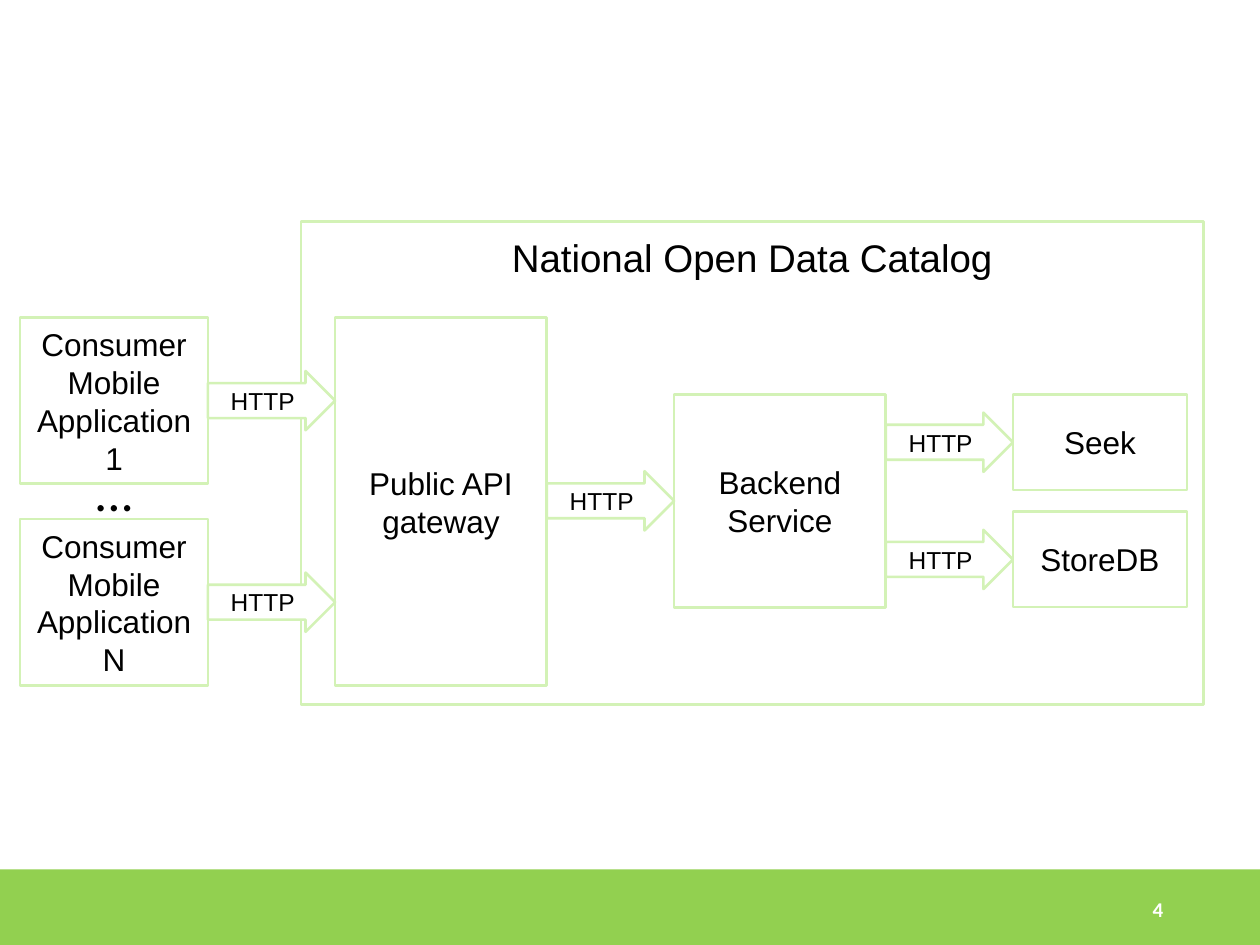
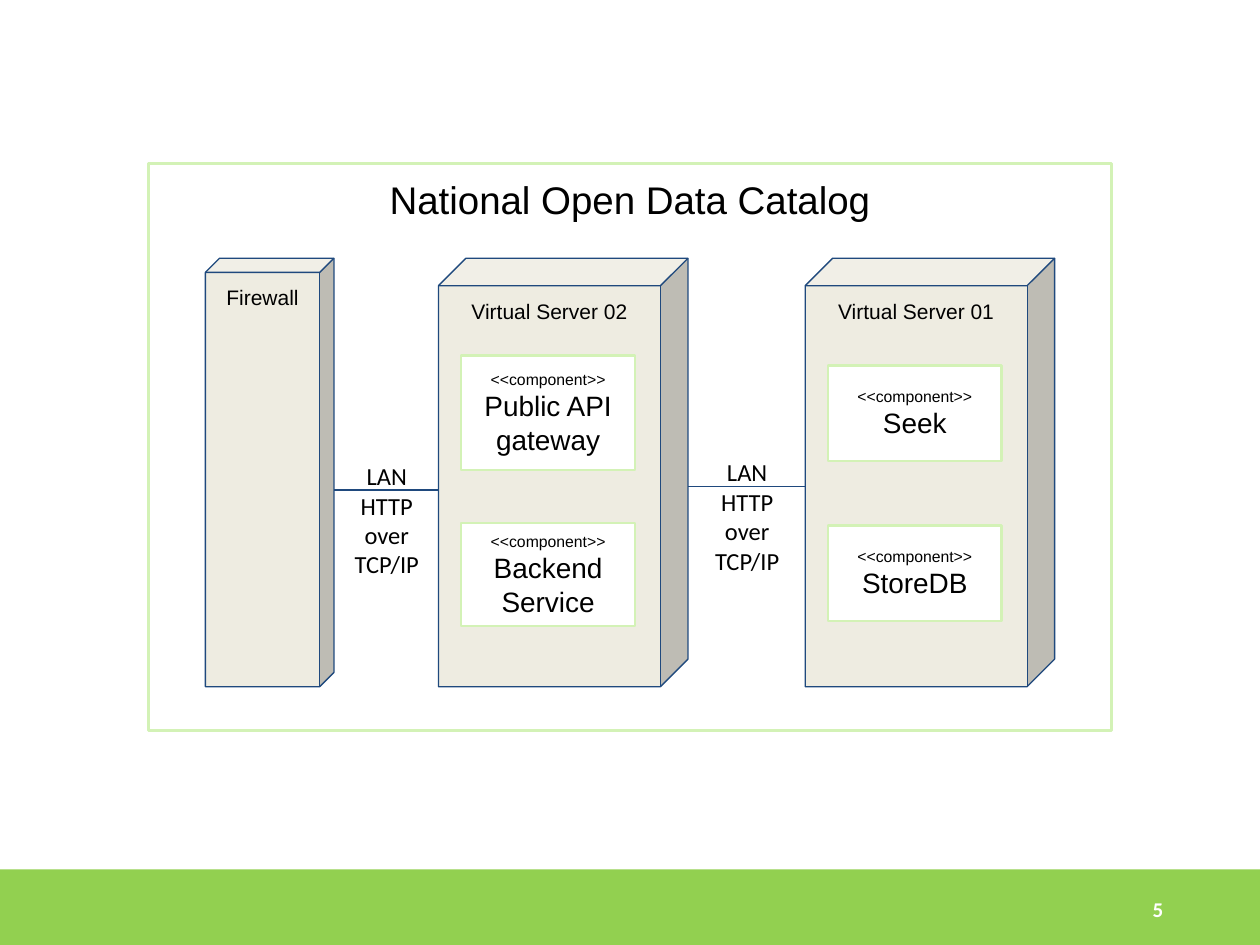
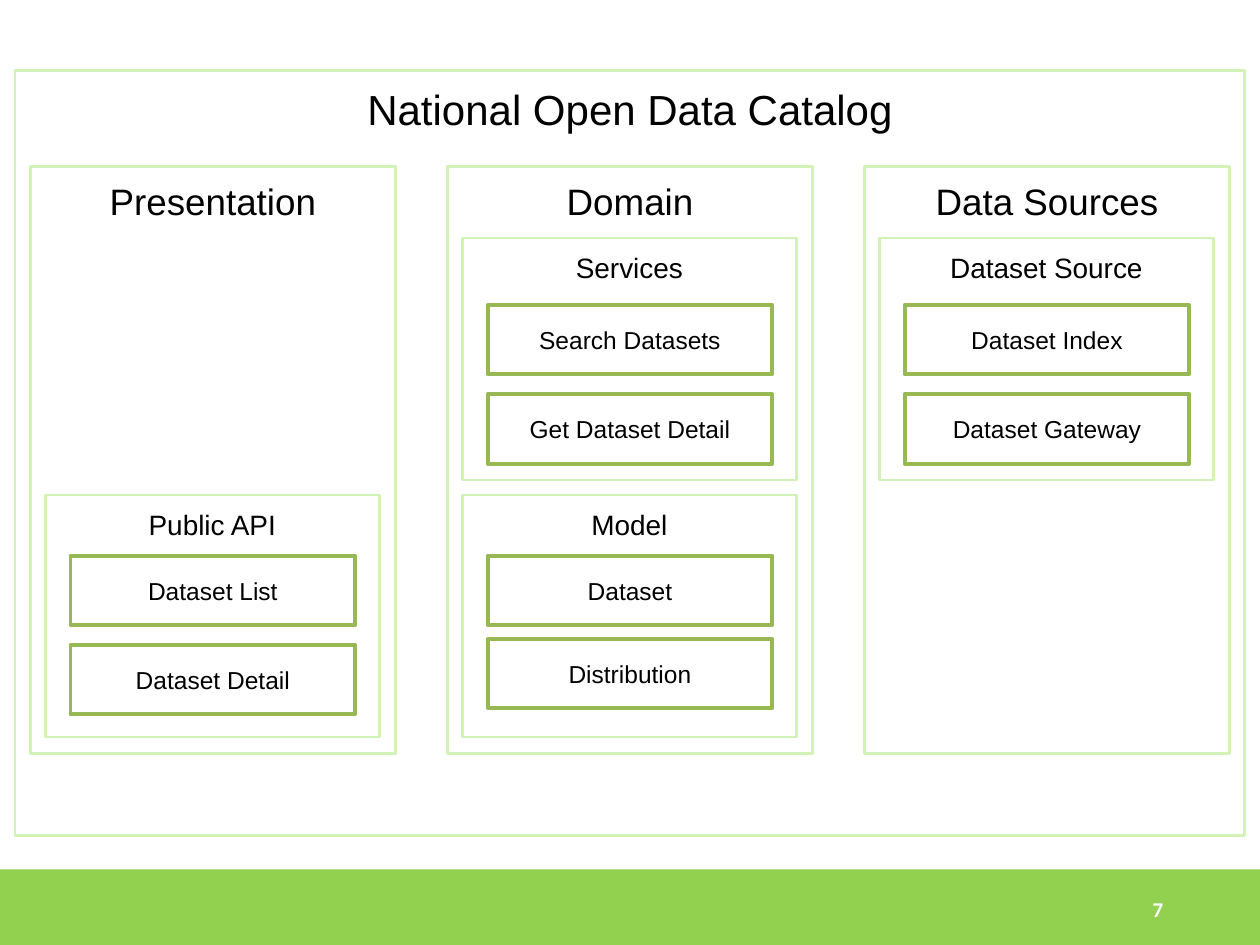
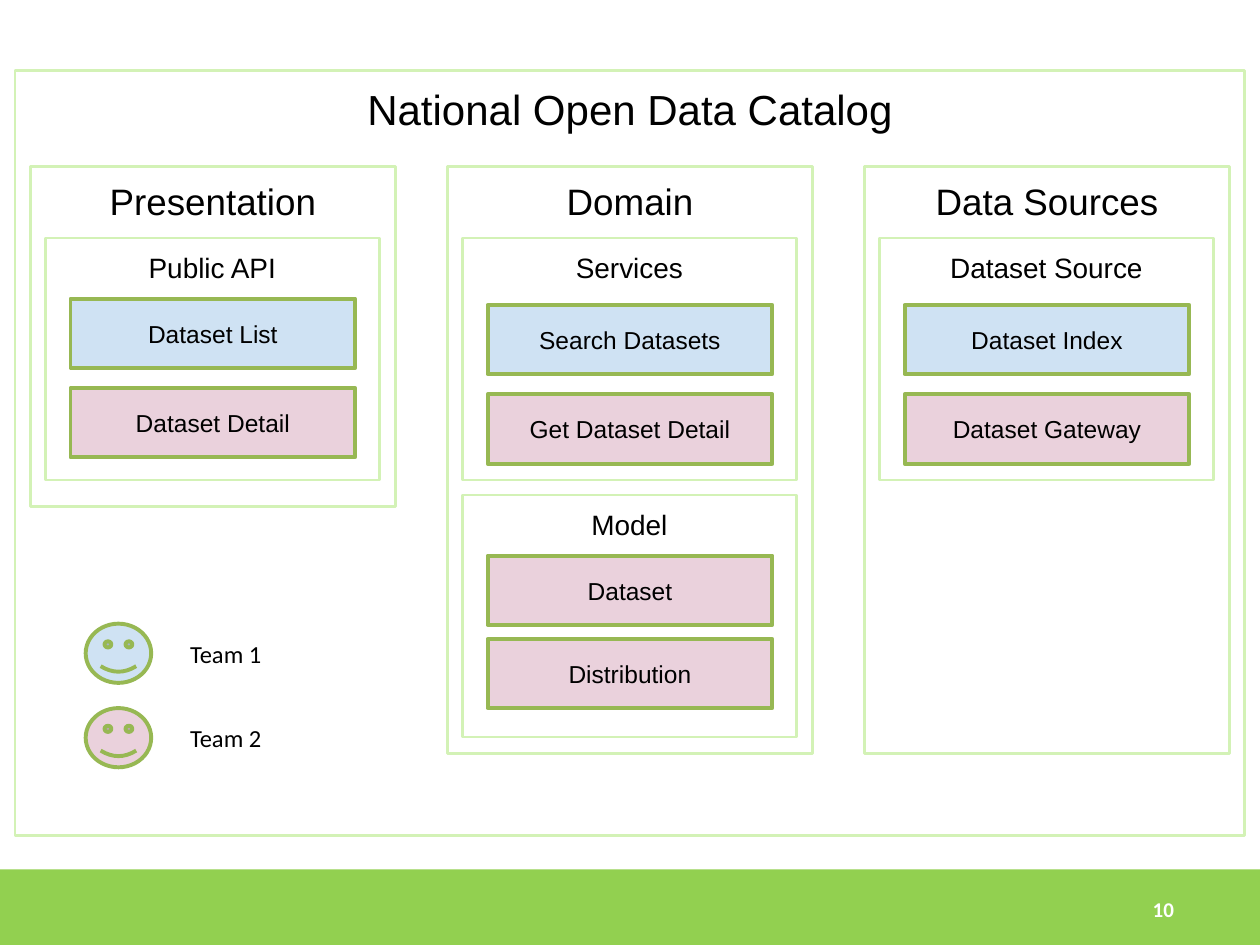
import pptx
import pptx.dml.color
import pptx.enum.shapes
import pptx.enum.text
import pptx.oxml.ns
import pptx.util
import lxml.etree

SHAPE = pptx.enum.shapes.MSO_SHAPE
ANCHOR = pptx.enum.text.MSO_ANCHOR
ALIGN = pptx.enum.text.PP_ALIGN

W, H = 10, 7.5
PALE, GREEN, BAND = "D3F2B6", "97B853", "92D050"
NAVY, STONE, WHITE, BLACK = "1F497D", "EEECE1", "FFFFFF", "000000"
BLUE, PINK = "CFE2F3", "EAD1DC"
SYSTEM = "National Open Data Catalog"

FLOW_FRAME = (2.39, 1.76, 7.16, 3.83)
FLOW_BOXES = {
    "Public API gateway": (2.66, 2.52, 1.68, 2.92),
    "Backend Service": (5.35, 3.13, 1.68, 1.69),
    "Consumer Mobile Application N": (0.16, 4.12, 1.49, 1.32),
    "Seek": (8.04, 3.13, 1.38, 0.76),
    "StoreDB": (8.04, 4.06, 1.38, 0.76),
    "Consumer Mobile Application 1": (0.16, 2.52, 1.49, 1.32),
}
FLOWS = [
    ("Public API gateway", "Backend Service"),
    ("Backend Service", "Seek"),
    ("Backend Service", "StoreDB"),
    ("Consumer Mobile Application 1", "Public API gateway"),
    ("Consumer Mobile Application N", "Public API gateway"),
]

NODE_FRAME = (1.18, 1.3, 7.64, 4.5)
NODE_TOP, NODE_H = 2.05, 3.4
NODES = [
    ("Virtual Server 01", 6.39, 1.98, [("Seek", 2.9, 0.76), ("StoreDB", 4.17, 0.76)]),
    ("Virtual Server 02", 3.48, 1.98,
     [("Backend Service", 4.15, 0.82), ("Public API gateway", 2.82, 0.91)]),
    ("Firewall", 1.63, 1.02, []),
]
LINKS = [(5.46, 6.39, 3.86, 5.57), (2.45, 3.48, 3.89, 2.71)]

LAYER_FRAME = (0.12, 0.56, 9.76, 6.07)
LAYERS = [
    ("Presentation", [("Public API", 1, 0.48, 0.71, ["Dataset List", "Dataset Detail"])]),
    ("Domain", [
        ("Services", 0, 0.53, 0.71, ["Search Datasets", "Get Dataset Detail"]),
        ("Model", 1, 0.48, 0.66, ["Dataset", "Distribution"]),
    ]),
    ("Data Sources", [
        ("Dataset Source", 0, 0.53, 0.71, ["Dataset Index", "Dataset Gateway"]),
    ]),
]
TEAMS = [
    ("Team 1", BLUE, ["Dataset List", "Search Datasets", "Dataset Index"]),
    ("Team 2", PINK, ["Dataset Detail", "Get Dataset Detail", "Dataset",
                      "Distribution", "Dataset Gateway"]),
]


def rgb(color):
    return pptx.dml.color.RGBColor.from_string(color)


def inches(values):
    return [pptx.util.Inches(v) for v in values]


def write(sp, lines, anchor=ANCHOR.MIDDLE, align=ALIGN.CENTER, font="Arial",
          color=BLACK, bold=False, inset_y=0.1):
    tf = sp.text_frame
    tf.word_wrap = True
    tf.vertical_anchor = anchor
    tf.margin_left = tf.margin_right = pptx.util.Inches(0.1)
    tf.margin_top = tf.margin_bottom = pptx.util.Inches(inset_y)
    for i, (text, size) in enumerate(lines):
        p = tf.add_paragraph() if i else tf.paragraphs[0]
        p.alignment = align
        r = p.add_run()
        r.text = text
        r.font.name = font
        r.font.size = pptx.util.Pt(size)
        r.font.bold = bold
        r.font.color.rgb = rgb(color)


def shape(s, at, lines=(), kind=SHAPE.RECTANGLE, fill=None, line=PALE, width=1.5,
          adjust=(), anchor=ANCHOR.MIDDLE):
    sp = s.shapes.add_shape(kind, *inches(at))
    sp.shadow.inherit = False
    for i, value in enumerate(adjust):
        sp.adjustments[i] = value
    if fill:
        sp.fill.solid()
        sp.fill.fore_color.rgb = rgb(fill)
    else:
        sp.fill.background()
    if line:
        sp.line.color.rgb = rgb(line)
        sp.line.width = pptx.util.Pt(width)
    else:
        sp.line.fill.background()
    if lines:
        write(sp, lines, anchor)
    return sp


def frame(s, at, text, size):
    shape(s, at, [(text, size)], anchor=ANCHOR.TOP)


def label(s, at, lines, **style):
    write(s.shapes.add_textbox(*inches(at)), lines, font="Calibri", **style)


def link(s, x1, x2, y):
    c = s.shapes.add_connector(pptx.enum.shapes.MSO_CONNECTOR.STRAIGHT,
                               *inches((x1, y, x2, y)))
    c.line.color.rgb = rgb(NAVY)
    c.line.width = pptx.util.Pt(0.75)
    lxml.etree.SubElement(c.element.spPr, pptx.oxml.ns.qn("a:effectLst"))


def new_slide(prs, layout, number):
    s = prs.slides.add_slide(layout)
    label(s, (9.05, 6.9, 0.83, 0.63), [(number, 12)], align=ALIGN.LEFT,
          color=WHITE, bold=True, inset_y=0.05)
    return s


def add_band(s, layout):
    band = shape(s, (0, 6.9, W, 0.63), fill=BAND, line=None)
    layout.shapes.element.insert(2, band.element)


def draw_flow(s):
    frame(s, FLOW_FRAME, SYSTEM, 22)
    for name, at in FLOW_BOXES.items():
        shape(s, at, [(name, 18)])
    for source, target in FLOWS:
        a, b = FLOW_BOXES[source], FLOW_BOXES[target]
        smaller = min(a, b, key=lambda at: at[3])
        left, middle = a[0] + a[2], smaller[1] + smaller[3] / 2
        shape(s, (left, middle - 0.47 / 2, b[0] - left, 0.47), [("HTTP", 14)],
              SHAPE.RIGHT_ARROW, WHITE, adjust=(0.59, 0.5))
    label(s, (0.16, 2.43, 1.49, 2.93), [("...", 30)])


def draw_nodes(s):
    frame(s, NODE_FRAME, SYSTEM, 22)
    for x1, x2, y, left in LINKS:
        link(s, x1, x2, y)
        label(s, (left, y - 0.33, 0.72, 0.76), [("LAN", 14), ("HTTP over TCP/IP", 14)],
              anchor=ANCHOR.TOP)
    for name, x, w, components in NODES:
        shape(s, (x, NODE_TOP, w, NODE_H), [(name, 12)], SHAPE.CUBE, STONE, NAVY, 0.75,
              (0.11,), ANCHOR.TOP)
        for component, y, h in components:
            shape(s, (x + 0.18, y, 1.38, h), [("<<component>>", 9), (component, 16)],
                  fill=WHITE)


def draw_layers(s, first_height=4.66, first_row=1, fills=None):
    fills = fills or {}
    frame(s, LAYER_FRAME, SYSTEM, 24)
    for i, (layer, groups) in enumerate(LAYERS):
        x = 0.24 + 3.31 * i
        frame(s, (x, 1.32, 2.9, 4.66 if i else first_height), layer, 21)
        for group, row, offset, step, parts in groups:
            y = 1.89 + 2.04 * (row if i else first_row)
            frame(s, (x + 0.12, y, 2.65, 1.92), group, 16)
            for j, part in enumerate(parts):
                shape(s, (x + 0.32, y + offset + step * j, 2.26, 0.55), [(part, 14)],
                      fill=fills.get(part), line=GREEN, width=2.25)


def draw_teams(s):
    draw_layers(s, 2.7, 0, {part: fill for _, fill, parts in TEAMS for part in parts})
    for i, (team, fill, _) in enumerate(TEAMS):
        y = 4.95 + 0.67 * i
        shape(s, (0.68, y, 0.52, 0.47), kind=SHAPE.SMILEY_FACE, fill=fill, line=GREEN,
              width=2.25, adjust=(0.05,))
        label(s, (1.41, y + 0.04, 1.55, 0.39), [(team, 14)], align=ALIGN.LEFT)


def main():
    prs = pptx.Presentation()
    prs.slide_width, prs.slide_height = inches((W, H))
    layout = prs.slide_layouts[6]
    pages = [("4", draw_flow), ("5", draw_nodes), ("7", draw_layers), ("10", draw_teams)]
    for i, (number, draw) in enumerate(pages):
        s = new_slide(prs, layout, number)
        if i == 0:
            add_band(s, layout)
        draw(s)
    prs.save("out.pptx")


if __name__ == "__main__":
    main()
